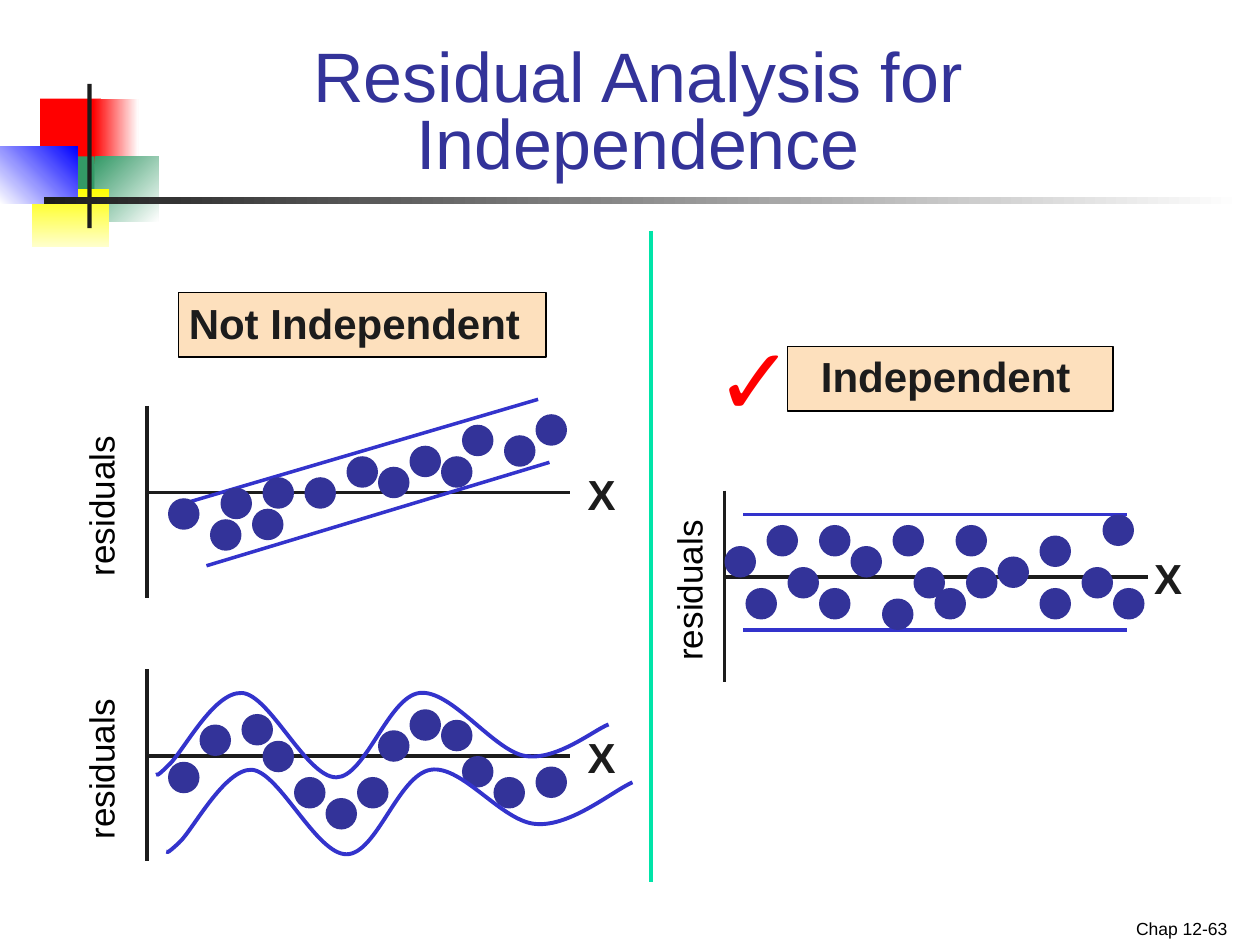
from pptx import Presentation
from pptx.dml.color import RGBColor
from pptx.enum.shapes import MSO_CONNECTOR as Connector, MSO_SHAPE as Shape
from pptx.enum.text import MSO_ANCHOR as Anchor, PP_ALIGN as Align
from pptx.oxml.ns import qn
from pptx.util import Pt
from lxml.etree import SubElement

INK = "1C1C1C"
NAVY = "333399"
BLUE = "3333CC"
PEACH = "FDE0BD"
DOT_SIZE = 18

DECORATION = [
    (23, 56.4, 34.6, 37.4, ["FF0000"], 0),
    (53.3, 56.4, 25.9, 37.4, ["FF0000", "FFFFFF"], 0),
    (54, 89.3, 36.7, 37.4, ["339966", "FFFFFF"], 45),
    (31, 89.3, 23, 37.4, ["339966"], 0),
    (18.3, 108, 44, 33.1, ["FFFF00", "FFFFCC"], 90),
    (0, 83.5, 44.3, 33.1, ["FFFFFF", "0000FF"], 315),
    (49.9, 48, 2.5, 82.5, [INK], 0),
    (25.2, 112.5, 684.7, 4.2, [INK, "FFFFFF"], 0),
]

TREND_DOTS = [
    (126, 278.7), (120, 296.7), (150, 272.7), (144, 290.7), (174, 272.7), (96, 284.7),
    (234, 254.7), (216, 266.7), (198, 260.7), (288, 248.7), (264, 242.7), (252, 260.7),
    (306, 236.7),
]
CYCLE_DOTS = [
    (138, 408), (114, 414), (150, 423.3), (168, 444), (186, 456), (96, 435.3), (234, 405.3),
    (216, 417.3), (204, 444), (282, 444), (264, 432), (252, 411.3), (306, 438),
]
RANDOM_DOTS = [
    (468, 300), (468, 336), (450, 324), (426, 336), (414, 312), (438, 300), (546, 300),
    (534, 336), (522, 324), (504, 342), (510, 300), (486, 312), (594, 336), (570, 318),
    (552, 324), (618, 324), (630, 294), (594, 306), (636, 336),
]

UPPER_WAVE = [
    (89.3, 442.8), (90.7, 441.4), (87.8, 445.7), (95.8, 437.8),
    (104.4, 430.6), (121.7, 395.3), (138.2, 396), (154.1, 396.7), (175, 444.2), (192.2, 444.2),
    (208.8, 444.2), (221.8, 398.2), (239.8, 396), (257.8, 393.8), (282.2, 429.1), (300.2, 432),
    (318.2, 434.9), (339.8, 416.9), (347.8, 414),
]
LOWER_WAVE = [
    (95, 486.7), (96.5, 486), (93.6, 489.6), (102.2, 481.7),
    (110.2, 474.5), (128.2, 439.2), (144, 439.9), (159.8, 441.4), (180.7, 488.2), (198, 488.2),
    (215.3, 488.2), (227.5, 442.8), (246.2, 439.9), (264.2, 437), (287.3, 470.2), (306.7, 470.9),
    (326.2, 472.3), (349.9, 452.2), (361.4, 447.1),
]


def color(code):
    """Turn a hex string into a colour."""
    return RGBColor.from_string(code)


def add_block(page, kind, left, top, width, height, colors, angle=0, border=None):
    """Add a preset shape with a plain fill or a clockwise-angled gradient."""
    block = page.shapes.add_shape(kind, Pt(left), Pt(top), Pt(width), Pt(height))
    block.shadow.inherit = False
    if len(colors) == 1:
        block.fill.solid()
        block.fill.fore_color.rgb = color(colors[0])
    else:
        block.fill.gradient()
        block.fill.gradient_angle = -angle % 360
        for stop, code, position in zip(block.fill.gradient_stops, colors, (0, 1)):
            stop.color.rgb = color(code)
            stop.position = position
    if border:
        block.line.color.rgb = color(border)
        block.line.width = Pt(1)
    else:
        block.line.fill.background()


def add_label(page, text, left, top, width, height, size, code,
              bold=False, align=Align.LEFT, spacing=None, anchor=Anchor.TOP, rotation=0):
    """Add a one-paragraph text box."""
    box = page.shapes.add_textbox(Pt(left), Pt(top), Pt(width), Pt(height))
    box.rotation = rotation
    frame = box.text_frame
    frame.word_wrap = True
    frame.vertical_anchor = anchor
    frame.text = text
    para = frame.paragraphs[0]
    para.alignment = align
    para.line_spacing = spacing
    font = para.runs[0].font
    font.name, font.size, font.bold = "Arial", Pt(size), bold
    font.color.rgb = color(code)


def add_line(page, start, end, code, width=2):
    """Add a straight line without a shadow."""
    line = page.shapes.add_connector(Connector.STRAIGHT, *map(Pt, start + end))
    line.line.color.rgb = color(code)
    line.line.width = Pt(width)
    SubElement(line._element.spPr, qn("a:effectLst"))


def add_wave(page, controls):
    """Add an open outline whose control points form joined cubic curves."""
    builder = page.shapes.build_freeform(*map(Pt, controls[0]))
    builder.add_line_segments([tuple(map(Pt, point)) for point in controls[1:]], close=False)
    wave = builder.convert_to_shape()
    outline = next(wave._element.iter(qn("a:path")))
    segments = outline.findall(qn("a:lnTo"))
    for first in range(0, len(segments), 3):
        curve = SubElement(outline, qn("a:cubicBezTo"))
        for segment in segments[first:first + 3]:
            curve.append(segment[0])
            outline.remove(segment)
    wave.shadow.inherit = False
    wave.fill.background()
    wave.line.color.rgb = color(BLUE)
    wave.line.width = Pt(2.25)


def add_plot(page, left, axis, label_left, x_left, dots, bounds=()):
    """Add a residual plot with its axes, labels, boundary lines and dots."""
    add_line(page, (left, axis - 49.5), (left, axis + 60), INK)
    add_line(page, (left, axis), (left + 242, axis), INK)
    add_label(page, "X", x_left, axis - 17.5, 39, 36, 24, INK, bold=True)
    for start, end in bounds:
        add_line(page, start, end, BLUE)
    for x, y in dots:
        add_block(page, Shape.OVAL, x, y, DOT_SIZE, DOT_SIZE, [NAVY])
    add_label(page, "residuals", label_left, axis - 12.2, 103, 31, 20, "000000", rotation=270)


def main():
    """Build the slide and save it."""
    deck = Presentation()
    deck.slide_width, deck.slide_height = Pt(720), Pt(540)
    page = deck.slides.add_slide(deck.slide_layouts[6])

    for left, top, width, height, colors, angle in DECORATION:
        add_block(page, Shape.RECTANGLE, left, top, width, height, colors, angle)
    add_label(page, "Chap 12-63", 540.3, 514.8, 168, 25.2, 10, "000000",
              align=Align.RIGHT, anchor=Anchor.BOTTOM)
    add_block(page, Shape.RECTANGLE, 102, 167.2, 210, 37, [PEACH], border="000000")
    add_block(page, Shape.RECTANGLE, 450, 198, 186, 37, [PEACH], border="000000")
    add_label(page, "Residual Analysis for Independence", 90, 24.5, 549, 83.5, 40, NAVY,
              align=Align.CENTER, spacing=0.8)
    add_label(page, "Not Independent", 100.8, 166.3, 260, 36, 24, INK, bold=True)
    add_label(page, "Independent", 462, 196.6, 223, 36, 24, INK, bold=True)

    add_plot(page, 84, 281.5, 6, 328.7, TREND_DOTS,
             [((106.5, 287.3), (307.5, 228.2)), ((118, 323.3), (314, 264.2))])
    add_plot(page, 414, 329.8, 342, 652.5, RANDOM_DOTS,
             [((424.7, y), (643.9, y)) for y in (294, 360)])
    add_plot(page, 84, 432, 6, 328.7, CYCLE_DOTS)
    for wave in (UPPER_WAVE, LOWER_WAVE):
        add_wave(page, wave)
    add_line(page, (372, 132), (372, 504), "00E4A8", 2.25)
    add_label(page, "✓", 402, 180, 72, 72, 54, "FF0000")

    deck.save("out.pptx")


if __name__ == "__main__":
    main()
